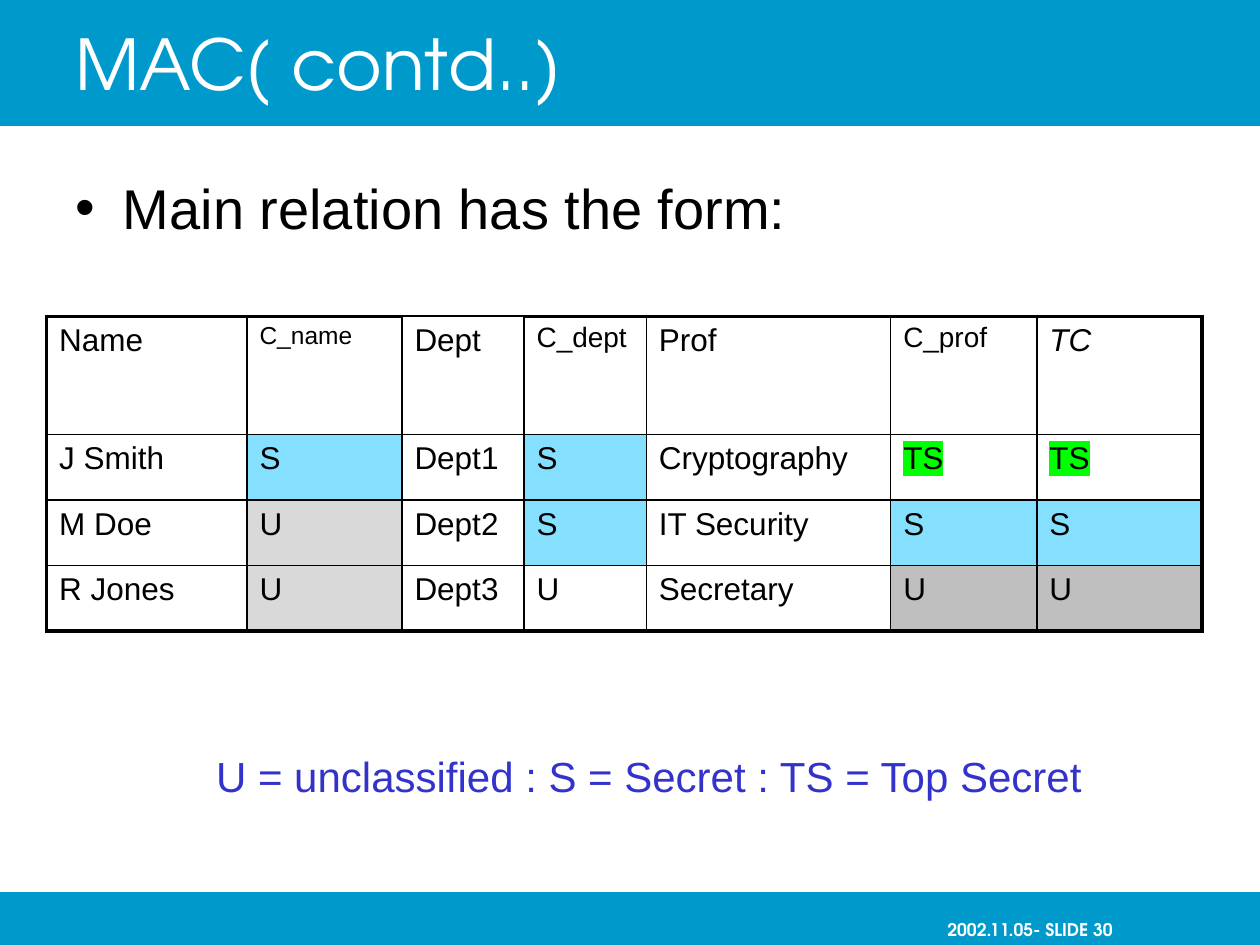
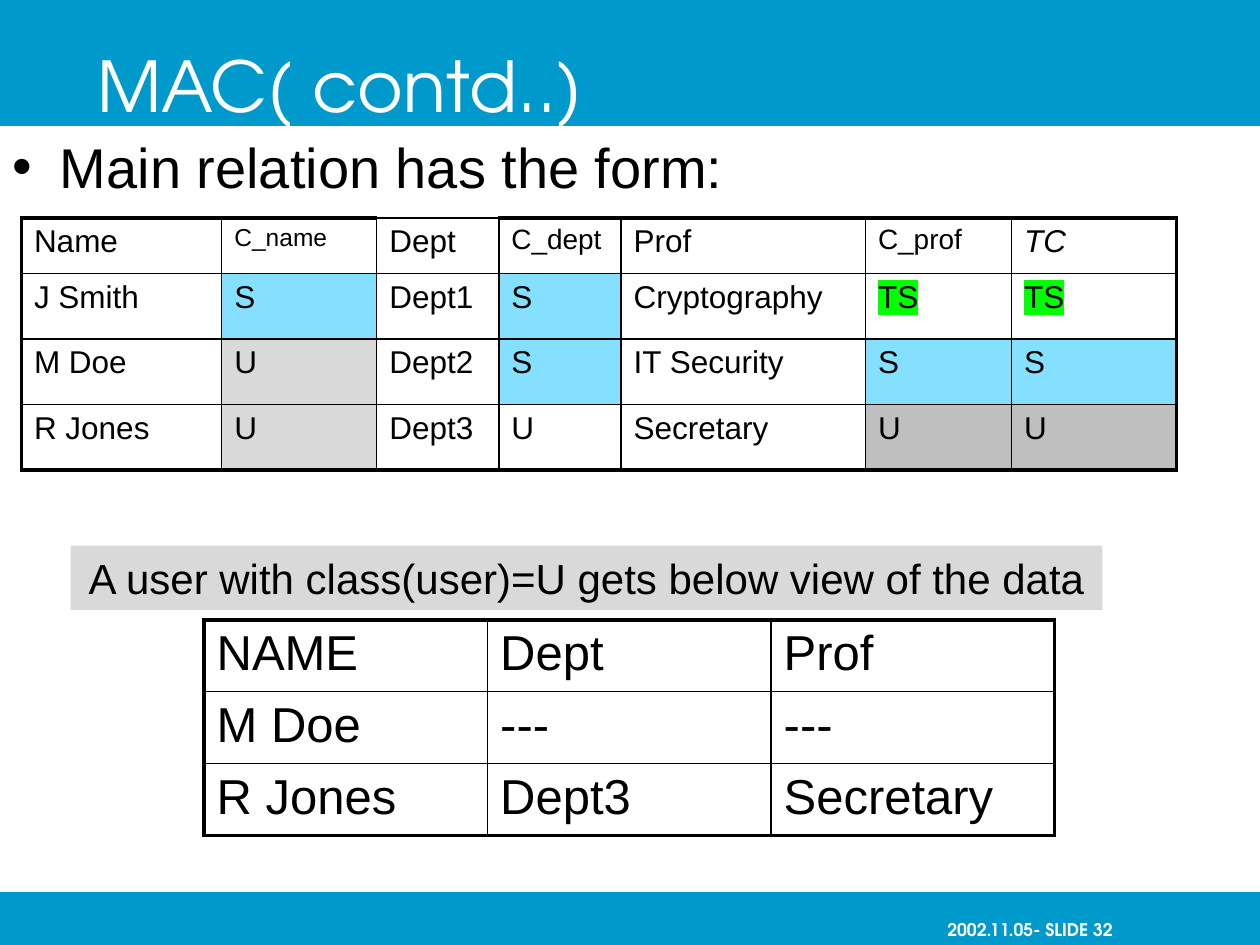
from lxml import etree
from pptx import Presentation
from pptx import util as u
from pptx.dml.color import RGBColor
from pptx.enum import shapes, text
from pptx.oxml.ns import qn

BAND, WHITE, BLACK = "0099CC", "FFFFFF", "000000"
SECRET, PALE, GREY = "85E0FF", "D9D9D9", "BFBFBF"
GREEN, INDIGO = "00FF00", "3333CC"
BODY_FONT, TITLE_FONT = "Arial", "TeX Gyre Adventor"
THICK, THIN = 2.25, 1

TITLE = "MAC( contd..)"
BULLET = "Main relation has the form:"
RELATION = [
    ["Name", "C_name", "Dept", "C_dept", "Prof", "C_prof", "TC"],
    ["J Smith", "S", "Dept1", "S", "Cryptography", "TS", "TS"],
    ["M Doe", "U", "Dept2", "S", "IT Security", "S", "S"],
    ["R Jones", "U", "Dept3", "U", "Secretary", "U", "U"],
]
RELATION_WIDTHS = [1.59, 1.23, 0.97, 0.97, 1.94, 1.16, 1.31]
HEADER_FORMATS = {
    "C_name": {"size": 14},
    "C_dept": {"size": 16},
    "C_prof": {"size": 16},
    "TC": {"italic": True},
}
UNCLASSIFIED_FILLS = {1: PALE, 5: GREY, 6: GREY}
USER_VIEW = [
    ["NAME", "Dept", "Prof"],
    ["M Doe", "---", "---"],
    ["R Jones", "Dept3", "Secretary"],
]


def colour(value):
    return RGBColor.from_string(value)


def add_colour(parent, value):
    etree.SubElement(parent, qn("a:srgbClr"), val=value)


def write(frame, words, size=18, font=BODY_FONT, ink=BLACK, bold=False, italic=False,
          align=text.PP_ALIGN.LEFT, space_before=None, highlight=None):
    para = frame.paragraphs[0]
    para.alignment = align
    if space_before:
        spacing = etree.SubElement(para._p.get_or_add_pPr(), qn("a:spcBef"))
        etree.SubElement(spacing, qn("a:spcPct"), val=str(space_before * 1000))
    span = para.add_run()
    span.text = words
    span.font.size = u.Pt(size)
    span.font.name = font
    span.font.bold = bold
    span.font.italic = italic
    span.font.color.rgb = colour(ink)
    if highlight:
        marker = etree.Element(qn("a:highlight"))
        add_colour(marker, highlight)
        span._r.rPr.find(qn("a:solidFill")).addnext(marker)


def place(item, left, top, width, height):
    item.left, item.top = u.Inches(left), u.Inches(top)
    item.width, item.height = u.Inches(width), u.Inches(height)


def relation_look(row, column, words):
    if row == 0:
        return None, HEADER_FORMATS.get(words, {})
    if words == "TS":
        return None, {"highlight": GREEN}
    fills = {"S": SECRET, "U": UNCLASSIFIED_FILLS.get(column)}
    return fills.get(words), {}


def plain_look(row, column, words):
    return None, {"size": 28}


class Slides:
    def __init__(self):
        self.deck = Presentation()
        self.deck.slide_width, self.deck.slide_height = u.Inches(10), u.Inches(7.5)
        self.layout = self.deck.slide_layouts[1]
        self.page = None

    def start(self, number, title_at, body_at):
        first = self.page is None
        self.page = self.deck.slides.add_slide(self.layout)
        if first:
            self.shared_bands()
        self.title(*title_at)
        self.bullet(*body_at)
        self.footer(number)

    def shared_bands(self):
        for order, (top, height) in enumerate([(0, 1), (7.08, 0.42)]):
            band = self.rectangle(0, top, 10, height, BAND)
            band._element.nvSpPr.cNvPr.set("id", str(100 + order))
            self.layout.shapes._spTree.insert(2 + order, band._element)

    def title(self, left, top):
        box = self.page.shapes.title
        place(box, left, top, 8.5, 1)
        box.text_frame.vertical_anchor = text.MSO_ANCHOR.MIDDLE
        write(box.text_frame, TITLE, size=40, font=TITLE_FONT, ink=WHITE)

    def bullet(self, left, top):
        box = self.page.placeholders[1]
        place(box, left, top, 9, 5.42)
        box.text_frame.auto_size = text.MSO_AUTO_SIZE.NONE
        box.text_frame.margin_bottom = 0
        write(box.text_frame, BULLET, size=32, space_before=20)

    def footer(self, number):
        frame = self.text_box(7.42, 7.08, 2.08, 0.42)
        frame.word_wrap = True
        frame.vertical_anchor = text.MSO_ANCHOR.MIDDLE
        frame.margin_top, frame.margin_right = u.Inches(0.22), u.Inches(0.67)
        write(frame, f"2002.11.05- SLIDE {number}", size=10, font=TITLE_FONT,
              ink=WHITE, bold=True, align=text.PP_ALIGN.RIGHT)

    def rectangle(self, left, top, width, height, fill):
        box = self.page.shapes.add_shape(
            shapes.MSO_SHAPE.RECTANGLE, *map(u.Inches, (left, top, width, height)))
        box.shadow.inherit = False
        box.fill.solid()
        box.fill.fore_color.rgb = colour(fill)
        box.line.fill.background()
        return box

    def text_box(self, left, top, width, height):
        return self.page.shapes.add_textbox(
            *map(u.Inches, (left, top, width, height))).text_frame

    def caption(self, frame, words, ink=BLACK):
        frame.word_wrap = False
        frame.auto_size = text.MSO_AUTO_SIZE.SHAPE_TO_FIT_TEXT
        write(frame, words, size=24, ink=ink, align=text.PP_ALIGN.CENTER)

    def borders(self, cell, weights):
        properties = cell._tc.get_or_add_tcPr()
        for order, (side, weight) in enumerate(zip("LRTB", weights)):
            line = etree.Element(qn(f"a:ln{side}"), w=str(u.Pt(weight)))
            add_colour(etree.SubElement(line, qn("a:solidFill")), BLACK)
            properties.insert(order, line)

    def table(self, left, top, widths, heights, rows, look, thin_tops=()):
        frame = self.page.shapes.add_table(
            len(rows), len(widths),
            *map(u.Inches, (left, top, sum(widths), sum(heights))))
        grid = frame.table
        grid.first_row = grid.horz_banding = False
        for column, width in zip(grid.columns, widths):
            column.width = u.Inches(width)
        for row, height in zip(grid.rows, heights):
            row.height = u.Inches(height)
        for r, row in enumerate(rows):
            for c, words in enumerate(row):
                cell = grid.cell(r, c)
                fill, style = look(r, c, words)
                if fill:
                    cell.fill.solid()
                    cell.fill.fore_color.rgb = colour(fill)
                else:
                    cell.fill.background()
                write(cell.text_frame, words, space_before=20, **style)
                outer = (c == 0, c == len(widths) - 1,
                         r == 0 and c not in thin_tops, r == len(rows) - 1)
                self.borders(cell, [THICK if edge else THIN for edge in outer])

    def relation(self, left, top, header_height):
        self.table(left, top, RELATION_WIDTHS, [header_height] + [0.52] * 3,
                   RELATION, relation_look, thin_tops=(2,))


def main():
    slides = Slides()

    slides.start(30, title_at=(0.5, 0), body_at=(0.5, 1.33))
    slides.relation(0.37, 2.51, header_height=0.94)
    legend = slides.text_box(1.59, 5.91, 7.12, 0.5)
    slides.caption(legend, "U = unclassified : S = Secret : TS = Top Secret", ink=INDIGO)

    slides.start(32, title_at=(0.67, 0.17), body_at=(0, 1))
    slides.relation(0.17, 1.73, header_height=0.44)
    slides.table(1.62, 4.92, [2.25] * 3, [0.57] * 3, USER_VIEW, plain_look)
    note = slides.rectangle(0.56, 4.33, 8.19, 0.51, PALE)
    slides.caption(note.text_frame, "A user with class(user)=U gets below view of the data")

    slides.deck.save("out.pptx")


if __name__ == "__main__":
    main()
